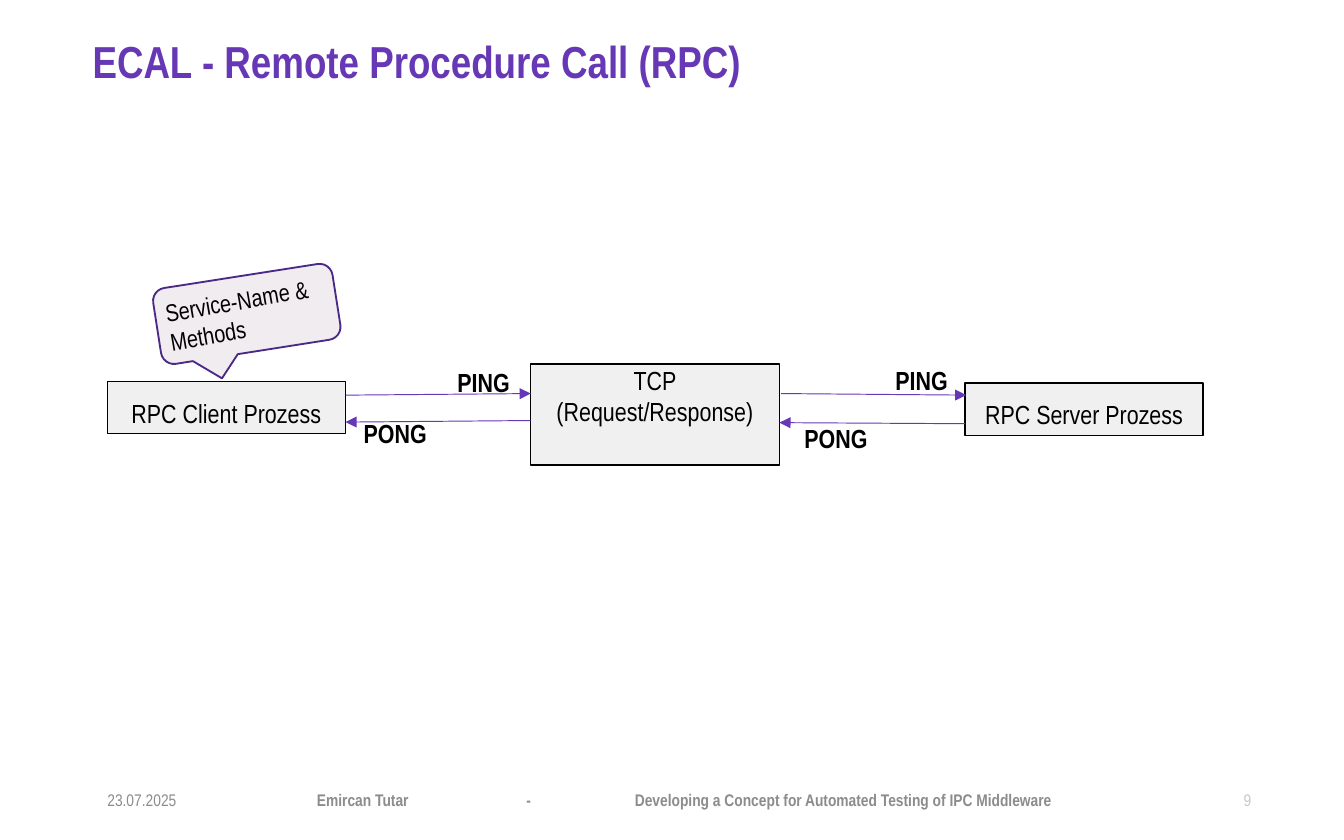
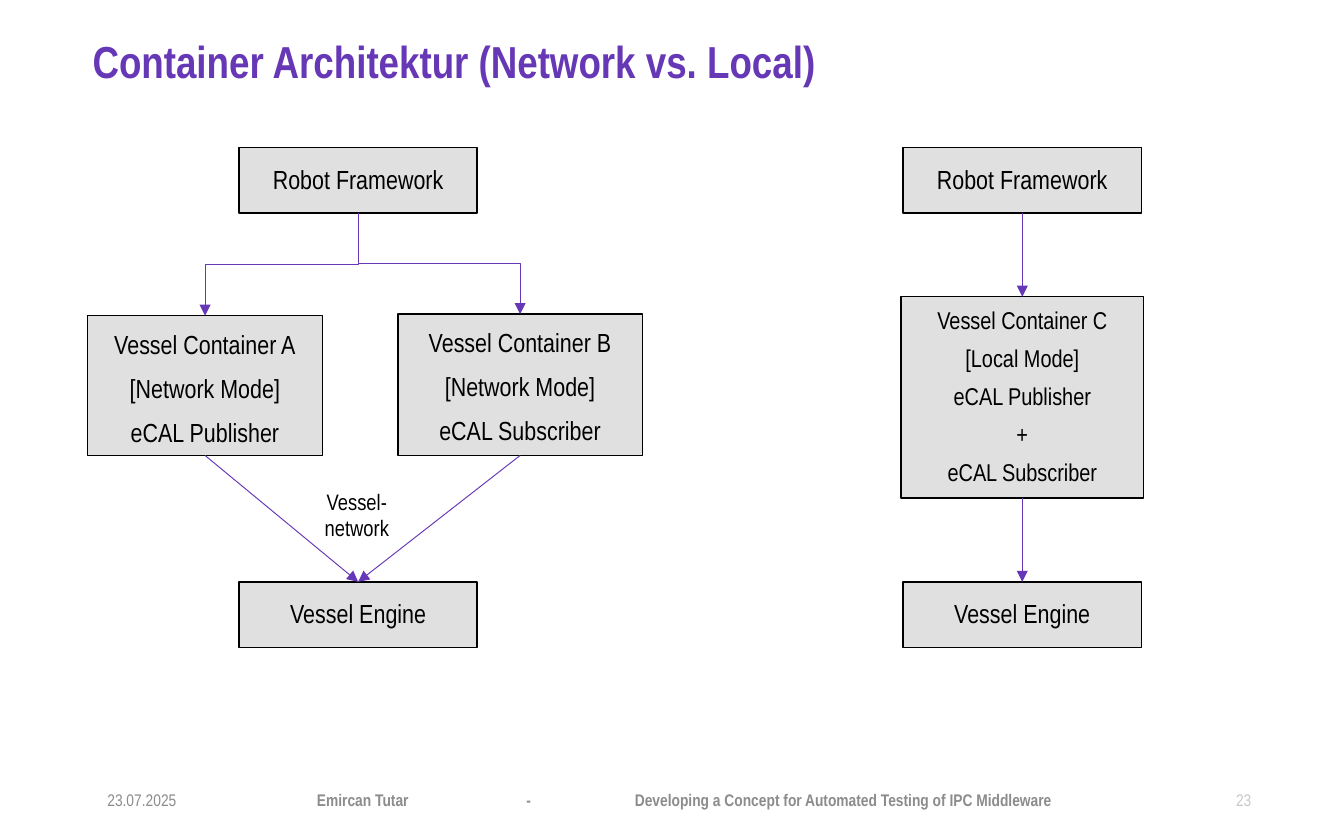
from lxml.etree import SubElement
from pptx import Presentation
from pptx.dml.color import RGBColor
from pptx.enum.shapes import MSO_CONNECTOR, MSO_SHAPE
from pptx.enum.text import MSO_ANCHOR, PP_ALIGN
from pptx.oxml.ns import qn
from pptx.util import Cm, Pt

FONT = "Arial Narrow"
TITLE_PURPLE, ARROW_PURPLE, CALLOUT_PURPLE = "6638B6", "6637B6", "4B2987"
BLACK, FOOTER_GREY, NUMBER_GREY = "000000", "8C8C8C", "C8C8C8"
LIGHT_BOX, DARK_BOX, CALLOUT_FILL = "F0F0F0", "E0E0E0", "F0ECF0"
FOOTER_TOP, FOOTER_HEIGHT = 14.71, 0.84
FOOTER_TABS = (3.96, 7.92, 9.97)


def colour(hex_code):
    """Turn a hex string into a colour."""
    return RGBColor.from_string(hex_code)


def write(shape, lines, size, ink=BLACK, align=PP_ALIGN.LEFT, spacing=1.0,
          anchor=MSO_ANCHOR.TOP):
    """Fill a shape with paragraphs, each a list of (words, bold) runs."""
    frame = shape.text_frame
    frame.word_wrap = True
    frame.vertical_anchor = anchor
    frame.margin_left = frame.margin_right = Cm(0)
    frame.margin_top = frame.margin_bottom = Cm(0)
    for index, runs in enumerate(lines):
        paragraph = frame.add_paragraph() if index else frame.paragraphs[0]
        paragraph.alignment = align
        paragraph.line_spacing = spacing
        for words, bold in runs:
            run = paragraph.add_run()
            run.text = words
            run.font.name = FONT
            run.font.size = Pt(size)
            run.font.bold = bold
            run.font.color.rgb = colour(ink)


def add_label(slide, place, words, size, bold=False, **style):
    """Add a text box with one line of text."""
    label = slide.shapes.add_textbox(*map(Cm, place))
    write(label, [[(words, bold)]], size, **style)
    return label


def add_outlined(slide, preset, place, fill, line, width):
    """Add a filled and outlined preset shape."""
    shape = slide.shapes.add_shape(preset, *map(Cm, place))
    shape.shadow.inherit = False
    shape.fill.solid()
    shape.fill.fore_color.rgb = colour(fill)
    shape.line.color.rgb = colour(line)
    shape.line.width = Pt(width)
    return shape


def add_box(slide, place, lines, fill=DARK_BOX, size=14, spacing=1.5):
    """Add a bordered box with centred lines."""
    box = add_outlined(slide, MSO_SHAPE.RECTANGLE, place, fill, BLACK, 0.75)
    write(box, [[(line, False)] for line in lines], size,
          align=PP_ALIGN.CENTER, spacing=spacing)
    return box


def add_arrow(slide, start, end, route=MSO_CONNECTOR.STRAIGHT):
    """Add a thin purple arrow between two points."""
    arrow = slide.shapes.add_connector(route, *start, *end)
    arrow.line.color.rgb = colour(ARROW_PURPLE)
    arrow.line.width = Pt(0.5)
    SubElement(arrow.line._get_or_add_ln(), qn("a:tailEnd"), type="triangle")
    SubElement(arrow._element.spPr, qn("a:effectLst"))
    return arrow


def add_branch(slide, start, end):
    """Add an elbow arrow that leaves downwards and arrives downwards."""
    (x1, y1), (x2, y2) = start, end
    middle_x, middle_y = (x1 + x2) // 2, (y1 + y2) // 2
    half_drop, half_span = (y2 - y1) // 2, abs(x2 - x1) // 2
    rightwards = x2 > x1
    reach = -half_drop if rightwards else half_drop
    branch = add_arrow(slide, (middle_x - reach, middle_y - half_span),
                       (middle_x + reach, middle_y + half_span),
                       MSO_CONNECTOR.ELBOW)
    degrees = 270 if rightwards else 90
    branch._element.spPr.find(qn("a:xfrm")).set("rot", str(degrees * 60000))


def top(box):
    """Give the middle of a box's upper edge."""
    return box.left + box.width // 2, box.top


def bottom(box):
    """Give the middle of a box's lower edge."""
    return box.left + box.width // 2, box.top + box.height


def add_page(deck, title, number):
    """Add a slide with its title, page number and footer."""
    slide = deck.slides.add_slide(deck.slide_layouts[6])
    add_label(slide, (1.75, 0.76, 21.9, 0.81), title, 24, bold=True,
              ink=TITLE_PURPLE, spacing=0.9)
    add_label(slide, (21.82, FOOTER_TOP, 1.83, FOOTER_HEIGHT), str(number), 9,
              ink=NUMBER_GREY, align=PP_ALIGN.RIGHT, anchor=MSO_ANCHOR.MIDDLE)
    footer = slide.shapes.add_textbox(
        *map(Cm, (2.03, FOOTER_TOP, 20.12, FOOTER_HEIGHT)))
    write(footer, [[
        ("23.07.2025\t", False),
        ("Emircan Tutar\t-\t"
         "Developing a Concept for Automated Testing of IPC Middleware", True),
    ]], 9, ink=FOOTER_GREY, anchor=MSO_ANCHOR.MIDDLE)
    properties = footer.text_frame.paragraphs[0]._p.get_or_add_pPr()
    stops = SubElement(properties, qn("a:tabLst"))
    for stop in FOOTER_TABS:
        SubElement(stops, qn("a:tab"), pos=str(Cm(stop)), algn="l")
    return slide


def build_rpc(deck):
    """Build the remote procedure call slide."""
    slide = add_page(deck, "ECAL - Remote Procedure Call (RPC)", 9)
    add_box(slide, (2.03, 7.21, 4.5, 0.99), ["RPC Client Prozess"], LIGHT_BOX)
    add_box(slide, (10.03, 6.88, 4.7, 1.91), ["TCP", "(Request/Response)"],
            LIGHT_BOX, spacing=1.0)
    add_box(slide, (18.24, 7.24, 4.5, 0.99), ["RPC Server Prozess"], LIGHT_BOX)

    for start, end in (
        ((6.53, 7.47), (10.03, 7.44)),
        ((10.03, 7.95), (6.53, 7.98)),
        ((14.76, 7.44), (18.26, 7.47)),
        ((18.24, 8.01), (14.73, 7.99)),
    ):
        add_arrow(slide, tuple(map(Cm, start)), tuple(map(Cm, end)))

    callout = add_outlined(slide, MSO_SHAPE.ROUNDED_RECTANGULAR_CALLOUT,
                           (2.95, 5.21, 3.43, 1.45), CALLOUT_FILL,
                           CALLOUT_PURPLE, 1)
    callout.rotation = 351.1
    for index, amount in enumerate((-0.19, 0.78, 0.17)):
        callout.adjustments[index] = amount
    service = add_label(slide, (3.15, 5.36, 3.25, 1.09),
                        "Service-Name & Methods", 13)
    service.rotation = 350.1

    for message, left, upper in (
        ("PING", 7.39, 6.93), ("PONG", 5.72, 7.9),
        ("PONG", 14.05, 7.98), ("PING", 15.67, 6.88),
    ):
        add_label(slide, (left, upper, 3.5, 0.81), message, 14, bold=True,
                  align=PP_ALIGN.CENTER)


def add_host(slide, left):
    """Add the framework box and the engine box of one column."""
    return [add_box(slide, (left, upper, 4.5, 1.24), [words])
            for upper, words in ((2.79, "Robot Framework"),
                                 (11, "Vessel Engine"))]


def build_containers(deck):
    """Build the container architecture slide."""
    slide = add_page(deck, "Container Architektur (Network vs. Local)", 23)
    framework, engine = add_host(slide, 4.52)
    for place, letter, role in (
        ((1.65, 5.97, 4.45, 2.64), "A", "Publisher"),
        ((7.52, 5.94, 4.62, 2.67), "B", "Subscriber"),
    ):
        container = add_box(
            slide, place,
            [f"Vessel Container {letter}", "[Network Mode]", f"eCAL {role}"],
            spacing=1.4)
        add_branch(slide, bottom(framework), top(container))
        add_arrow(slide, bottom(container), top(engine))
    add_label(slide, (5.79, 9.22, 1.91, 1.17), "Vessel- network", 12,
              align=PP_ALIGN.CENTER)

    framework, engine = add_host(slide, 17.07)
    container = add_box(
        slide, (17.03, 5.61, 4.58, 3.81),
        ["Vessel Container C", "[Local Mode]", "eCAL Publisher", "+",
         "eCAL Subscriber"], size=13, spacing=1.3)
    add_arrow(slide, bottom(framework), top(container))
    add_arrow(slide, bottom(container), top(engine))


def main():
    """Build and save the presentation."""
    deck = Presentation()
    deck.slide_width, deck.slide_height = Cm(25.4), Cm(15.88)
    build_rpc(deck)
    build_containers(deck)
    deck.save("out.pptx")


if __name__ == "__main__":
    main()
